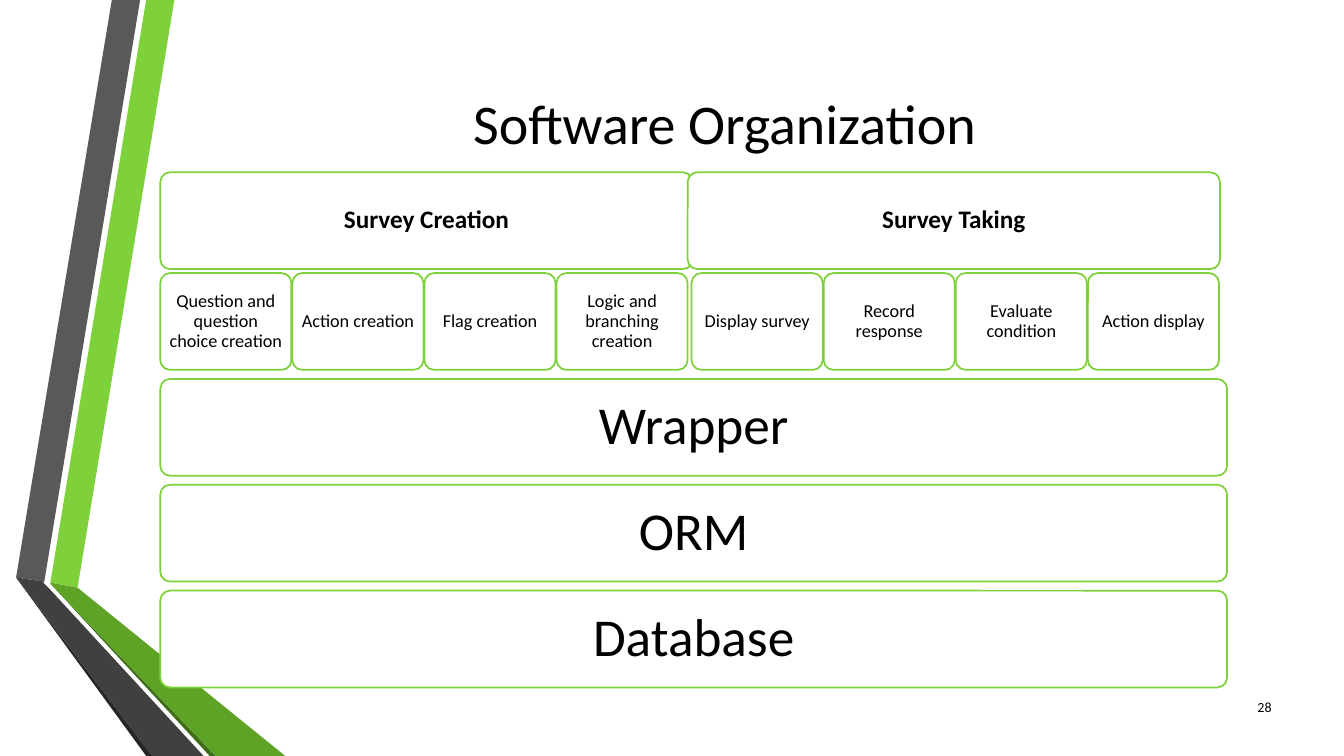
from dataclasses import dataclass

from pptx import Presentation
from pptx.dml.color import RGBColor
from pptx.enum import shapes, text
from pptx import util as u


@dataclass(frozen=True)
class Theme:
    font: str = "Calibri"
    ink: str = "000000"
    paper: str = "FFFFFF"
    green: str = "7FD13B"
    title: int = 40
    layer: int = 38
    module: int = 18
    feature: int = 13
    number: int = 10


THEME = Theme()
WIDTH, HEIGHT = 13.33, 7.5

# Grid of the diagram, in inches
LEFT, TOP = 1.59, 1.71
BOX_H = 0.96
FEATURE_TOP = TOP + 1
LAYER_TOP, LAYER_PITCH, LAYER_W = 3.76, 1.05, 10.58
MODULE_W, MODULE_PITCH = 5.28, 5.23
FEATURE_W, FEATURE_PITCH = 1.3, 1.31
GROUP_PITCH = 5.27

MODULES = {
    "Survey Creation": ["Question and question choice creation", "Action creation",
                        "Flag creation", "Logic and branching creation"],
    "Survey Taking": ["Display survey", "Record response",
                      "Evaluate condition", "Action display"],
}
LAYERS = ["Wrapper", "ORM", "Database"]

RIBBONS = [
    ("7FD13B", [(0.5, 5.78), (0.77, 5.83), (1.73, 0), (1.45, 0)]),
    ("595959", [(1.39, 0), (1.11, 0), (0.16, 5.73), (0.44, 5.77)]),
    ("262626", [(0.16, 5.73), (1.45, 7.5), (1.51, 7.5)]),
    ("3F6D19", [(0.5, 5.79), (2.08, 7.5), (2.14, 7.5)]),
    ("5FA326", [(0.5, 5.79), (2.14, 7.5), (2.83, 7.5), (0.77, 5.83), (0.5, 5.78)]),
    ("404040", [(2.02, 7.5), (0.48, 5.83), (0.43, 5.78), (0.44, 5.77),
                (0.16, 5.73), (1.51, 7.5)]),
]


def set_attrs(obj, values):
    for name, value in values.items():
        setattr(obj, name, value)


def paint(sp, color):
    sp.shadow.inherit = False
    sp.fill.solid()
    sp.fill.fore_color.rgb = RGBColor.from_string(color)


def place(sp, left, top, width, height):
    set_attrs(sp, {"left": u.Inches(left), "top": u.Inches(top),
                   "width": u.Inches(width), "height": u.Inches(height)})


def write(sp, words, size, align=text.PP_ALIGN.CENTER, bold=False, inset=None, spacing=1.0):
    tf = sp.text_frame
    set_attrs(tf, {"word_wrap": True, "auto_size": text.MSO_AUTO_SIZE.NONE,
                   "vertical_anchor": text.MSO_ANCHOR.MIDDLE})
    if inset is not None:
        sides = ("left", "top", "right", "bottom")
        set_attrs(tf, {f"margin_{side}": u.Inches(inset) for side in sides})
    p = tf.paragraphs[0]
    set_attrs(p, {"alignment": align, "line_spacing": spacing})
    r = p.add_run()
    r.text = words
    set_attrs(r.font, {"name": THEME.font, "size": u.Pt(size), "bold": bold})
    r.font.color.rgb = RGBColor.from_string(THEME.ink)


def add_ribbon(slide, color, points):
    start, *rest = [(u.Inches(x), u.Inches(y)) for x, y in points]
    builder = slide.shapes.build_freeform(*start)
    builder.add_line_segments(rest, close=True)
    sp = builder.convert_to_shape()
    paint(sp, color)
    sp.line.fill.background()


def add_box(slide, words, left, top, width, size, inset, bold=False):
    sp = slide.shapes.add_shape(shapes.MSO_SHAPE.ROUNDED_RECTANGLE, 0, 0, 0, 0)
    place(sp, left, top, width, BOX_H)
    sp.adjustments[0] = 0.1
    paint(sp, THEME.paper)
    sp.line.color.rgb = RGBColor.from_string(THEME.green)
    sp.line.width = u.Pt(1.25)
    write(sp, words, size, bold=bold, inset=inset, spacing=0.9)


def add_layers(slide):
    for row, name in enumerate(LAYERS):
        add_box(slide, name, LEFT, LAYER_TOP + row * LAYER_PITCH, LAYER_W,
                THEME.layer, inset=0.16)


def add_modules(slide):
    """Each module heads its own row of features."""
    for group, (module, features) in enumerate(MODULES.items()):
        add_box(slide, module, LEFT + group * MODULE_PITCH, TOP, MODULE_W,
                THEME.module, inset=0.07, bold=True)
        for col, feature in enumerate(features):
            left = LEFT + group * GROUP_PITCH + col * FEATURE_PITCH
            add_box(slide, feature, left, FEATURE_TOP, FEATURE_W,
                    THEME.feature, inset=0.05)


def add_number(slide, number):
    sp = slide.shapes.add_textbox(0, 0, 0, 0)
    place(sp, 12.12, 6.81, 0.59, 0.4)
    write(sp, number, THEME.number, align=text.PP_ALIGN.RIGHT)


def main():
    prs = Presentation()
    set_attrs(prs, {"slide_width": u.Inches(WIDTH), "slide_height": u.Inches(HEIGHT)})
    slide = prs.slides.add_slide(prs.slide_layouts.get_by_name("Title Only"))
    for color, points in RIBBONS:
        add_ribbon(slide, color, points)
    title = slide.shapes.title
    place(title, 1.79, 0.75, 10.79, 0.92)
    write(title, "Software Organization", THEME.title)
    add_layers(slide)
    add_modules(slide)
    add_number(slide, "28")
    prs.save("out.pptx")


if __name__ == "__main__":
    main()
